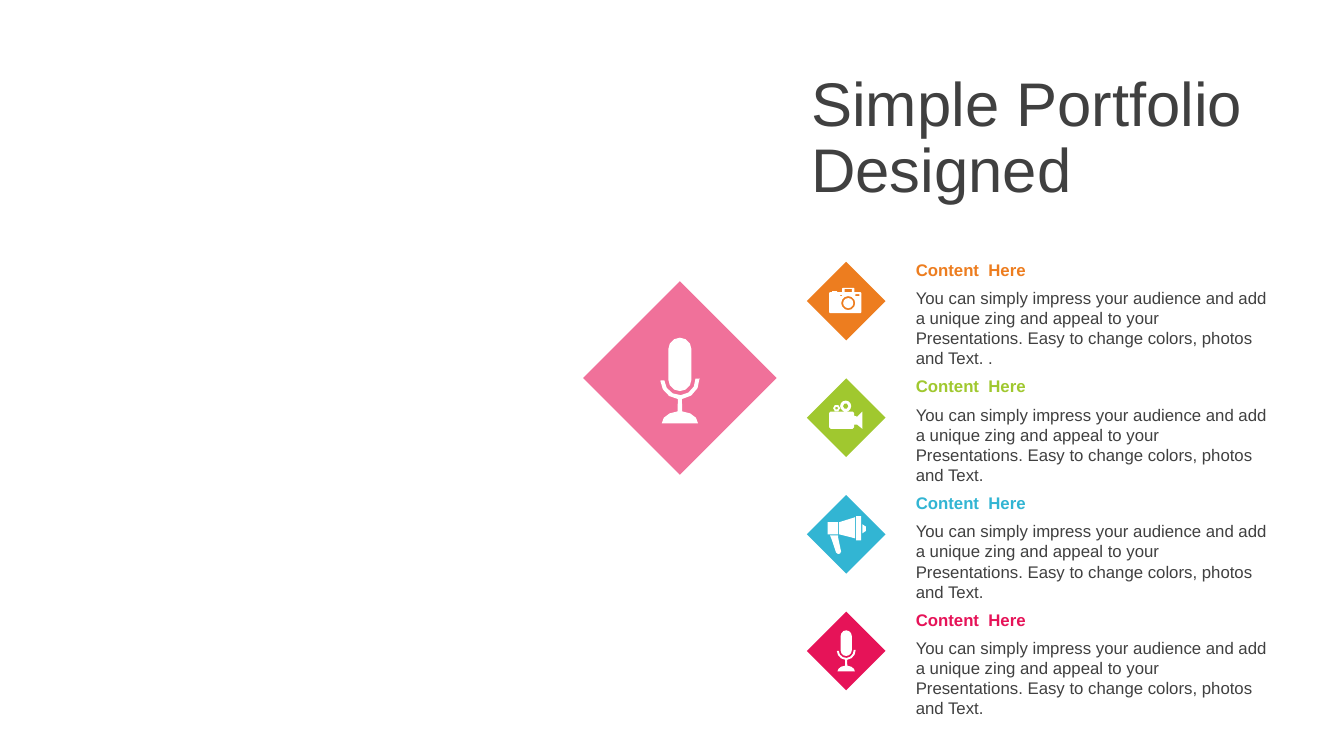
from dataclasses import dataclass
from math import cos, radians, sin

from lxml.etree import SubElement
from pptx import Presentation
from pptx.dml.color import RGBColor
from pptx.enum.shapes import MSO_SHAPE as Preset
from pptx.enum.text import MSO_ANCHOR as Anchor, MSO_AUTO_SIZE as AutoSize
from pptx.oxml.ns import qn
from pptx.util import Inches, Pt

CELL = Inches(0.1)    # slide grid
DOT = Inches(0.01)    # icon grid, measured from the icon's centre
FONT = "Arial"
COLORS = {
    "orange": "ED7D1F", "green": "A0C82F", "blue": "32B5D3", "pink": "E61358",
    "text": "404040", "white": "FFFFFF",
}
BLURB = ("You can simply impress your audience and add a unique zing and appeal "
         "to your Presentations. Easy to change colors, photos and Text.")

Contour = list[tuple[float, float]]


# Outline helpers: angles in degrees, clockwise from the right
def arc(x: float, y: float, rx: float, ry: float, start: float, end: float) -> Contour:
    step = 30 if rx > 4 else 60
    steps = max(1, round(abs(end - start) / step))
    angles = [radians(start + (end - start) * i / steps) for i in range(steps + 1)]
    return [(x + rx * cos(a), y + ry * sin(a)) for a in angles]


def circle(x: float, y: float, r: float) -> Contour:
    return arc(x, y, r, r, 0, 360)[:-1]


def box(left: float, top: float, right: float, bottom: float) -> Contour:
    return [(left, top), (right, top), (right, bottom), (left, bottom)]


# Icons: a contour inside another one cuts a hole
CAMERA = [
    [(-17, -8), (-16, -9), (-14, -9), (-14, -10), (-9, -10), (-9, -9), (-4, -9),
     (-4, -12.5), (-3.5, -13), (7.5, -13), (8, -12.5), (8, -9), (14, -9), (15, -8),
     (15, 11), (14, 12), (-16, 12), (-17, 11)],
    box(-1.5, -12, 5.5, -9),
    box(-6, -6, -4, -5),
    box(9, -7, 13, -5),
    circle(2, 2, 7),
    circle(2, 2, 5),
]
VIDEO = [
    [(-17, -4.5), (-15.5, -6), (6.5, -6), (8, -4.5), (8, -2), (11, -1), (16, -6),
     (16, 11), (11, 7), (8, 7), (8, 9.5), (6.5, 11), (-15.5, 11), (-17, 9.5)],
    circle(-0.5, -11.5, 5.5),
    circle(-0.5, -11.5, 2.75),
    circle(-9.5, -9.5, 3.5),
    circle(-9.5, -9.5, 1.5),
]
MEGAPHONE = [
    [(-8, 1), (-8, 3), (-5, 17), (-6, 19), (-8, 19.5), (-10, 18), (-14, 6), (-16, 1)],
    box(-18.5, -12, -8, 0),
    [(9, -17), (9, 4), (-7, 0), (-7, -12)],
    box(10, -18, 15, 6),
    arc(16, -5.5, 4, 4.5, -90, 90),
]
MICROPHONE = [
    arc(0, -31, 11.5, 11.5, 180, 360) + arc(0, -1, 11.5, 11.5, 0, 180),
    arc(0, -1, 19.5, 19.5, -3, 84) + arc(0, 42.5, 18, 12, -83, 0)
    + arc(0, 42.5, 18, 12, 180, 263) + arc(0, -1, 19.5, 19.5, 96, 177)
    + arc(0, -1, 15.5, 15.5, 177, -3),
]


@dataclass
class Entry:
    color: str
    icon: list[Contour]
    icon_scale: float = 1
    blurb: str = BLURB


ENTRIES = [
    Entry("orange", CAMERA, blurb=BLURB + " ."),
    Entry("green", VIDEO),
    Entry("blue", MEGAPHONE),
    Entry("pink", MICROPHONE, 0.48),
]
FIRST_ROW, ROW_PITCH = 25.25, 11.57
BADGE_X, BADGE_DROP, BADGE_SIZE = 83.95, 4.62, 7.8
TEXT_X, TEXT_WIDTH = 90.85, 36.1


def cells(*counts: float) -> list[int]:
    return [round(count * CELL) for count in counts]


def paint(shape, color: str) -> None:
    shape.shadow.inherit = False
    shape.fill.solid()
    shape.fill.fore_color.rgb = RGBColor.from_string(COLORS[color])
    shape.line.fill.background()


def add_diamond(shapes, x: float, y: float, size: float, color: str, opacity: int = 100) -> None:
    diamond = shapes.add_shape(Preset.DIAMOND, *cells(x - size / 2, y - size / 2, size, size))
    paint(diamond, color)
    if opacity < 100:
        tint = diamond.fill._xPr.find(qn("a:solidFill"))[0]
        SubElement(tint, qn("a:alpha")).set("val", str(opacity * 1000))


def add_icon(shapes, x: float, y: float, contours: list[Contour], scale: float = 1) -> None:
    center_x, center_y = cells(x, y)
    placed = [[(round(center_x + px * DOT * scale), round(center_y + py * DOT * scale))
               for px, py in contour] for contour in contours]
    outline = shapes.build_freeform(*placed[0][0])
    for index, contour in enumerate(placed):
        if index:
            outline.move_to(*contour[0])
        outline.add_line_segments(contour[1:], close=True)
    paint(outline.convert_to_shape(), "white")


def add_text(shapes, place: tuple[float, float, float, float], words: str, size: int,
             color: str, anchor: Anchor, bold: bool = False):
    frame = shapes.add_textbox(*cells(*place)).text_frame
    frame.text = words
    frame.word_wrap = True
    frame.vertical_anchor = anchor
    font = frame.paragraphs[0].runs[0].font
    font.name, font.size, font.bold = FONT, Pt(size), bold
    font.color.rgb = RGBColor.from_string(COLORS[color])
    return frame


def add_entry(shapes, entry: Entry, top: float) -> None:
    add_diamond(shapes, BADGE_X, top + BADGE_DROP, BADGE_SIZE, entry.color)
    add_icon(shapes, BADGE_X, top + BADGE_DROP, entry.icon, entry.icon_scale)
    pair = shapes.add_group_shape().shapes
    heading = add_text(pair, (TEXT_X, top, TEXT_WIDTH, 3), "Content  Here", 12,
                       entry.color, Anchor.MIDDLE, bold=True)
    blurb = add_text(pair, (TEXT_X, top + 2.8, TEXT_WIDTH, 7.1), entry.blurb, 12,
                     "text", Anchor.TOP)
    for frame in (heading, blurb):
        frame.margin_left = 0
        frame.auto_size = AutoSize.SHAPE_TO_FIT_TEXT


def main() -> None:
    deck = Presentation()
    deck.slide_width, deck.slide_height = Inches(40 / 3), Inches(7.5)
    shapes = deck.slides.add_slide(deck.slide_layouts[6]).shapes

    # Large microphone badge
    add_diamond(shapes, 67.45, 37.5, 19.2, "pink", opacity=60)
    add_icon(shapes, 67.45, 37.75, MICROPHONE)

    # Title
    title = add_text(shapes, (79.5, 5.15, 50.9, 17.4), "Simple Portfolio Designed", 44,
                     "text", Anchor.MIDDLE)
    title.paragraphs[0].line_spacing = 0.9

    # Portfolio entries
    for row, entry in enumerate(ENTRIES):
        add_entry(shapes, entry, FIRST_ROW + row * ROW_PITCH)

    deck.save("out.pptx")


if __name__ == "__main__":
    main()
